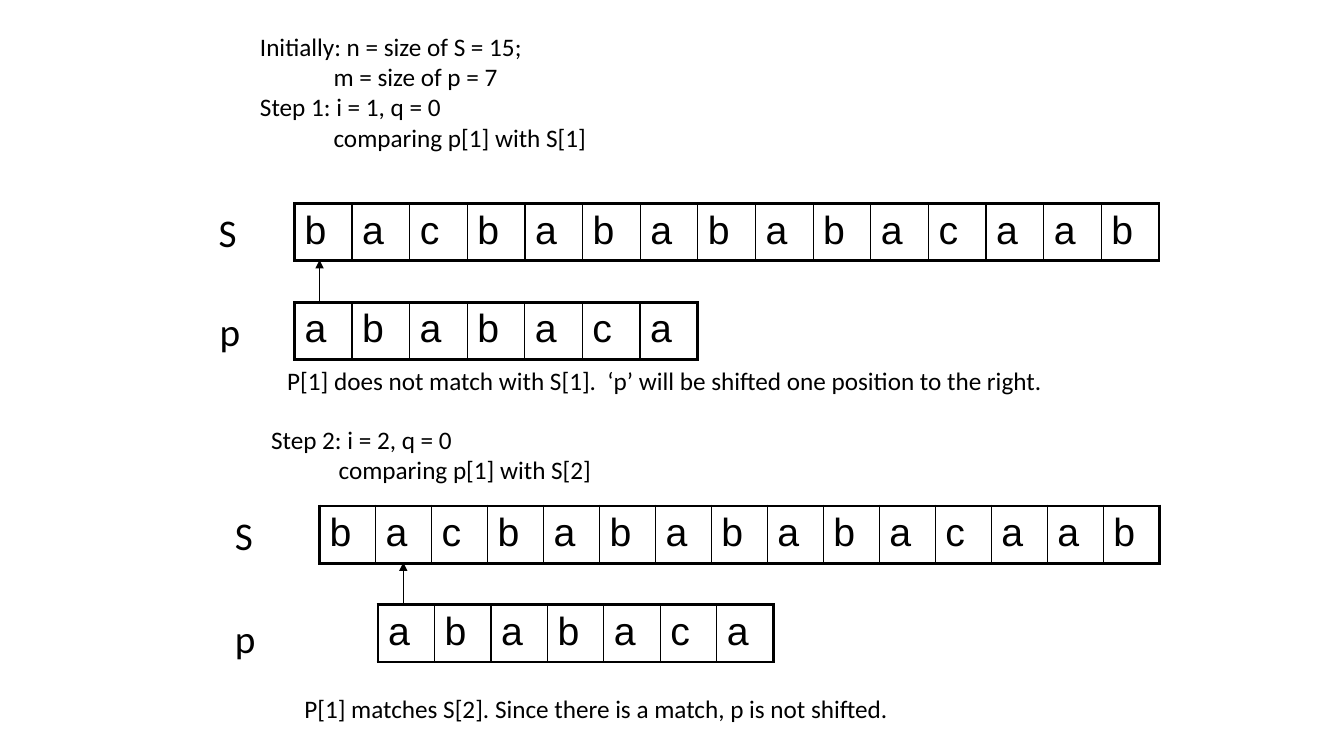
from lxml import etree
from pptx import Presentation
from pptx.dml.color import RGBColor
from pptx.enum.shapes import MSO_CONNECTOR
from pptx.oxml.ns import qn
from pptx.util import Inches, Pt

STRAIGHT = MSO_CONNECTOR.STRAIGHT
BLACK = "000000"
TEXT, PATTERN = "bacbabababacaab", "ababaca"
THICK, THIN = 2.25, 1
ROW_HEIGHT = 0.53
ARROW_LENGTH = 0.42


def color(hex_code):
    return RGBColor.from_string(hex_code)


def write(paragraph, text, size=18, font="Calibri", hex_code=BLACK, indent=0):
    run = paragraph.add_run()
    run.text = text
    run.font.size = Pt(size)
    run.font.name = font
    run.font.color.rgb = color(hex_code)
    if indent:
        paragraph._p.get_or_add_pPr().set("marL", str(Inches(indent)))


def add_text(slide, box, lines, size=18, indent=0):
    """Write lines in a text box, indenting every second one."""
    frame = slide.shapes.add_textbox(*map(Inches, box)).text_frame
    frame.word_wrap = True
    for number, line in enumerate(lines):
        paragraph = frame.add_paragraph() if number else frame.paragraphs[0]
        write(paragraph, line, size=size, indent=indent * (number % 2))


def set_borders(cell, widths):
    properties = cell._tc.get_or_add_tcPr()
    for side, width in widths.items():
        border = etree.SubElement(properties, qn(f"a:ln{side}"), w=str(Pt(width)))
        fill = etree.SubElement(border, qn("a:solidFill"))
        etree.SubElement(fill, qn("a:srgbClr"), val=BLACK)


def add_letters(slide, left, top, width, letters):
    """Draw a string as a one-row table with a thick outline."""
    count = len(letters)
    table = slide.shapes.add_table(
        1, count, Inches(left), Inches(top), Inches(width), Inches(ROW_HEIGHT)
    ).table
    table.first_row = table.horz_banding = False
    for index, letter in enumerate(letters):
        table.columns[index].width = Inches(width / count)
        cell = table.cell(0, index)
        write(cell.text_frame.paragraphs[0], letter, size=28, font="Arial")
        set_borders(cell, {
            "L": THICK if index == 0 else THIN,
            "R": THICK if index == count - 1 else THIN,
            "T": THICK,
            "B": THICK,
        })
        cell.fill.background()


def add_up_arrow(slide, x, bottom):
    arrow = slide.shapes.add_connector(
        STRAIGHT, Inches(x), Inches(bottom), Inches(x), Inches(bottom - ARROW_LENGTH))
    arrow.line.color.rgb = color(BLACK)
    arrow.line.width = Pt(0.75)
    etree.SubElement(arrow.line._get_or_add_ln(), qn("a:tailEnd"), type="triangle")
    etree.SubElement(arrow._element.spPr, qn("a:effectLst"))


def add_comparison(slide, box, pattern_left, pattern_width, s_label, p_label):
    """Draw S with p below it, and an arrow from p[1] to S."""
    left, top, width, pattern_drop = box
    pattern_top = top + pattern_drop
    add_letters(slide, left, top, width, TEXT)
    add_letters(slide, pattern_left, pattern_top, pattern_width, PATTERN)
    add_up_arrow(slide, pattern_left + 0.25, pattern_top)
    for label, (label_left, label_top) in (("S", s_label), ("p", p_label)):
        add_text(slide, (label_left, label_top, 0.42, 0.57), [label], size=28)


def build_step_1(slide):
    add_text(slide, (2.48, 0.26, 3.98, 1.31), [
        "Initially: n = size of S = 15;",
        "m = size of p = 7",
        "Step 1: i = 1, q = 0",
        "comparing p[1] with S[1]",
    ], indent=0.73)
    add_comparison(slide, (2.92, 2.02, 8.58, 0.98), 2.92, 4,
                   s_label=(2.07, 2.02), p_label=(2.08, 3))
    add_text(slide, (2.75, 3.58, 8.42, 0.4), [
        "P[1] does not match with S[1].  ‘p’ will be shifted one position to the right."])


def build_step_2(slide):
    add_text(slide, (2.59, 4.16, 3.43, 0.71), [
        "Step 2: i = 2, q = 0",
        "comparing p[1] with S[2]",
    ], indent=0.67)
    add_comparison(slide, (3.17, 5.02, 8.33, 0.98), 3.75, 3.92,
                   s_label=(2.23, 5.02), p_label=(2.23, 6.05))
    add_text(slide, (2.92, 6.83, 6.2, 0.4), [
        "P[1] matches S[2]. Since there is a match, p is not shifted."])


def main():
    presentation = Presentation()
    presentation.slide_width = Inches(13.33)
    presentation.slide_height = Inches(7.5)
    slide = presentation.slides.add_slide(presentation.slide_layouts[6])
    build_step_1(slide)
    build_step_2(slide)
    presentation.save("out.pptx")


if __name__ == "__main__":
    main()
